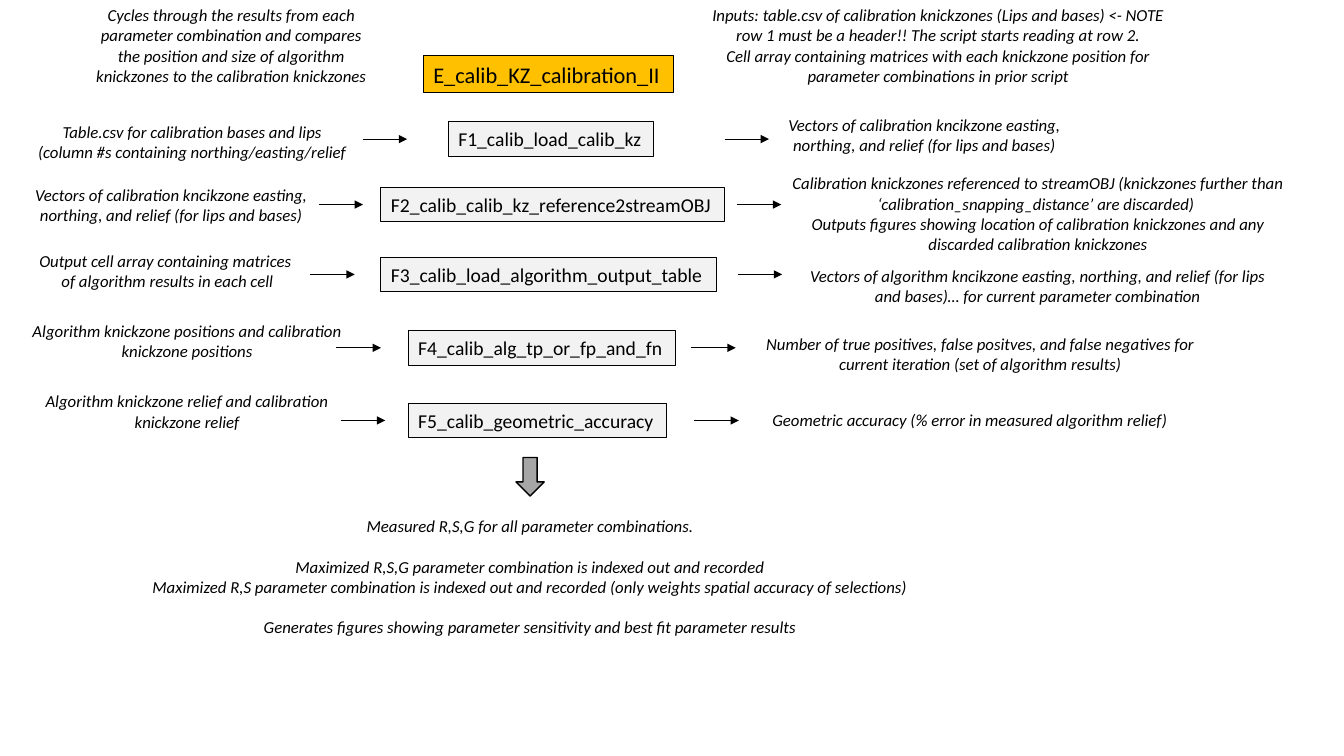
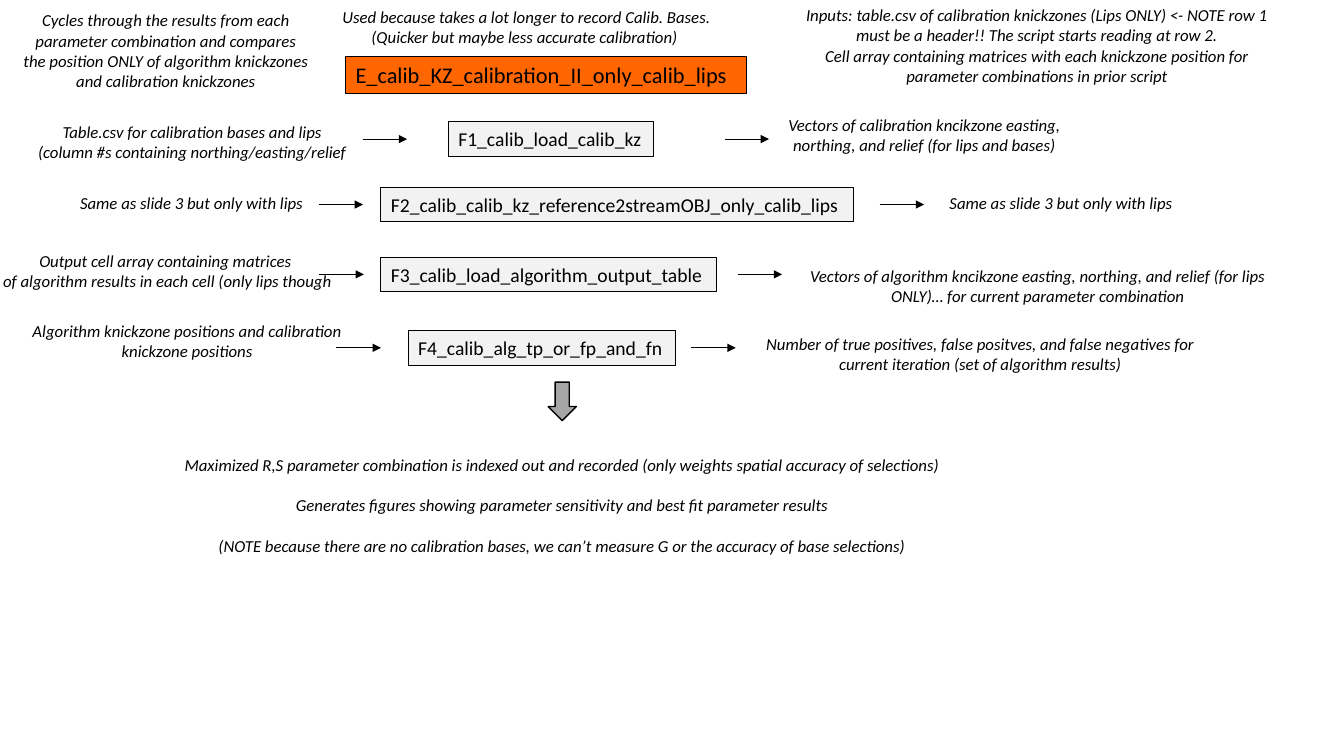
"""Build two script workflow slides: a heading, rows of function steps and a closing summary."""
import dataclasses

import lxml.etree
import pptx
import pptx.dml.color
import pptx.enum.shapes
import pptx.enum.text
import pptx.oxml.ns
import pptx.util

Cm = pptx.util.Cm
Pt = pptx.util.Pt


@dataclasses.dataclass(frozen=True)
class Theme:
    """Colours, type sizes and recurring lengths (in centimetres)."""
    ink: str = "000000"
    step_fill: str = "F2F2F2"
    block_arrow: str = "A6A6A6"
    amber: str = "FFC000"
    orange: str = "FF6600"
    font: str = "Calibri"
    title_size: int = 16
    step_size: int = 14
    note_size: int = 12
    group_gap: float = 14.5
    box_line: float = 0.75
    thin_line: float = 0.5
    block_line: float = 1
    title_height: float = 0.94
    step_height: float = 0.87
    line_height: float = 0.51
    arrow_length: float = 1.12
    inset: float = 0.25


THEME = Theme()


@dataclasses.dataclass(frozen=True)
class Note:
    """Groups of centred paragraphs; the top is relative to the region."""
    left: float
    top: float
    width: float
    groups: tuple


@dataclasses.dataclass(frozen=True)
class Step:
    """One function with its input and output, in centimetres."""
    name: str
    top: float
    left: float
    width: float
    arrow_in: float
    arrow_out: float
    source: Note
    result: Note


def apply(target, values):
    """Set each attribute of the target from a dict of format values."""
    for name, value in values.items():
        setattr(target, name, value)


def colour(code):
    """Return an RGB colour for a hexadecimal code."""
    return pptx.dml.color.RGBColor.from_string(code)


def place(shape, left, top, width, height):
    """Move and size a shape in centimetres."""
    apply(shape, {"left": Cm(left), "top": Cm(top), "width": Cm(width), "height": Cm(height)})


def paint(shape, fill, line_width):
    """Give a shape a solid fill and a dark outline."""
    shape.fill.solid()
    shape.fill.fore_color.rgb = colour(fill)
    shape.line.color.rgb = colour(THEME.ink)
    shape.line.width = Pt(line_width)


def write(para, text, size, alignment, italic=False):
    """Write one formatted run into a paragraph."""
    para.alignment = alignment
    span = para.add_run()
    span.text = text
    apply(span.font, {"name": THEME.font, "size": Pt(size), "italic": italic, "bold": False})
    span.font.color.rgb = colour(THEME.ink)


def add_label(shape, text, size):
    """Write a left-aligned, vertically centred label into a box."""
    frame = shape.text_frame
    apply(frame, {
        "word_wrap": True,
        "auto_size": pptx.enum.text.MSO_AUTO_SIZE.NONE,
        "vertical_anchor": pptx.enum.text.MSO_ANCHOR.MIDDLE,
        "margin_left": Cm(THEME.inset),
        "margin_right": 0,
    })
    write(frame.paragraphs[0], text, size, pptx.enum.text.PP_ALIGN.LEFT)


def add_note(page, note, top=0):
    """Add an italic note whose later groups are set apart by paragraph spacing."""
    lines = sum(len(group) for group in note.groups)
    box = page.shapes.add_textbox(Cm(note.left), Cm(top + note.top), Cm(note.width),
                                  Cm(2 * THEME.inset + lines * THEME.line_height))
    frame = box.text_frame
    apply(frame, {"word_wrap": True, "margin_left": 0, "margin_right": 0})
    para = None
    for group in note.groups:
        for index, text in enumerate(group):
            starts_group = para is not None and index == 0
            para = frame.paragraphs[0] if para is None else frame.add_paragraph()
            para.space_before = Pt(THEME.group_gap if starts_group else 0)
            write(para, text, THEME.note_size, pptx.enum.text.PP_ALIGN.CENTER, italic=True)


def add_arrow(page, left, middle):
    """Add a thin arrow pointing right."""
    arrow = page.shapes.add_connector(
        pptx.enum.shapes.MSO_CONNECTOR.STRAIGHT,
        Cm(left), Cm(middle), Cm(left + THEME.arrow_length), Cm(middle))
    arrow.line.color.rgb = colour(THEME.ink)
    arrow.line.width = Pt(THEME.thin_line)
    qn = pptx.oxml.ns.qn
    properties = arrow._element.spPr
    outline = properties.find(qn("a:ln"))
    lxml.etree.SubElement(outline, qn("a:tailEnd"), type="triangle")
    lxml.etree.SubElement(properties, qn("a:effectLst"))


def add_heading(page, text, fill, box, notes):
    """Format the title placeholder as a coloured box and add the notes around it."""
    left, top, width = box
    title = page.shapes.title
    place(title, left, top, width, THEME.title_height)
    paint(title, fill, THEME.box_line)
    add_label(title, text, THEME.title_size)
    for note in notes:
        add_note(page, note)


def add_step(page, step):
    """Add one row: input note, arrow, function box, arrow, output note."""
    box = page.shapes.add_shape(
        pptx.enum.shapes.MSO_SHAPE.RECTANGLE,
        Cm(step.left), Cm(step.top), Cm(step.width), Cm(THEME.step_height))
    box.shadow.inherit = False
    paint(box, THEME.step_fill, THEME.box_line)
    add_label(box, step.name, THEME.step_size)
    for left in (step.arrow_in, step.arrow_out):
        add_arrow(page, left, step.top + THEME.step_height / 2)
    for note in (step.source, step.result):
        add_note(page, note, step.top)


def add_closing(page, arrow_top, note):
    """Add a block arrow centred above the summary note."""
    width, height = 0.71, 0.97
    arrow = page.shapes.add_shape(
        pptx.enum.shapes.MSO_SHAPE.DOWN_ARROW,
        Cm(note.left + (note.width - width) / 2), Cm(arrow_top), Cm(width), Cm(height))
    arrow.shadow.inherit = False
    paint(arrow, THEME.block_arrow, THEME.block_line)
    add_note(page, note)


def add_workflow(deck, heading, steps, closing):
    """Add a slide with a heading, its steps and a closing summary."""
    page = deck.slides.add_slide(deck.slide_layouts[5])
    add_heading(page, **heading)
    for step in steps:
        add_step(page, step)
    add_closing(page, **closing)


VECTORS = (("Vectors of calibration kncikzone easting, northing, and relief (for lips and bases)",),)
SAME = (("Same as slide 3 but only with lips",),)
MATRICES = "Output cell array containing matrices "
PRIOR = ("Cell array containing matrices with each knickzone position for parameter "
         "combinations in prior script")
BEST_RS = ("Maximized R,S parameter combination is indexed out and recorded "
           "(only weights spatial accuracy of selections)")
FIGURES = "Generates figures showing parameter sensitivity and best fit parameter results"

LOAD = Step(
    "F1_calib_load_calib_kz", 3.07, 11.3, 5.18, 9.14, 18.26,
    Note(0.78, -0.13, 8.13, (("Table.csv for calibration bases and lips",
                              "(column #s containing northing/easting/relief"),)),
    Note(19.23, -0.3, 8.13, VECTORS))
REFERENCE = Step(
    "F2_calib_calib_kz_reference2streamOBJ", 4.72, 9.6, 8.66, 8.03, 18.57,
    Note(0.25, -0.2, 8.13, VECTORS),
    Note(19.63, -0.48, 13.06, ((
        "Calibration knickzones referenced to streamOBJ (knickzones further than "
        "‘calibration_snapping_distance’ are discarded) ",
        "Outputs figures showing location of calibration knickzones and any "
        "discarded calibration knickzones"),)))
OUTPUT_TABLE = Step(
    "F3_calib_load_algorithm_output_table", 6.48, 9.6, 8.46, 7.82, 18.59,
    Note(0, -0.28, 8.44, ((MATRICES, "of algorithm results in each cell"),)),
    Note(20.21, 0.08, 11.89, ((
        "Vectors of algorithm kncikzone easting, northing, and relief "
        "(for lips and bases)… for current parameter combination",),)))
POSITIVES = Step(
    "F4_calib_alg_tp_or_fp_and_fn", 8.33, 10.29, 6.73, 8.48, 17.42,
    Note(0.74, -0.38, 7.95, ((
        "Algorithm knickzone positions and calibration knickzone positions",),)),
    Note(19.08, -0.05, 11.25, ((
        "Number of true positives, false positves, and false negatives for "
        "current iteration (set of algorithm results)",),)))
ACCURACY = Step(
    "F5_calib_geometric_accuracy", 10.16, 10.29, 6.5, 8.59, 17.5,
    Note(0.74, -0.43, 7.95, ((
        "Algorithm knickzone relief and calibration knickzone relief",),)),
    Note(18.82, 0.03, 11.25, ((
        "Geometric accuracy (% error in measured algorithm relief)",),)))

REFERENCE_LIPS = dataclasses.replace(
    REFERENCE, name="F2_calib_calib_kz_reference2streamOBJ_only_calib_lips",
    width=11.91, arrow_out=22.17,
    source=Note(0.8, 0, 8.06, SAME), result=Note(20.21, 0, 13.06, SAME))
OUTPUT_TABLE_LIPS = dataclasses.replace(
    OUTPUT_TABLE, arrow_in=8.05,
    source=dataclasses.replace(OUTPUT_TABLE.source, groups=((
        MATRICES, "of algorithm results in each cell (only lips though"),)),
    result=dataclasses.replace(OUTPUT_TABLE.result, groups=((
        "Vectors of algorithm kncikzone easting, northing, and relief "
        "(for lips ONLY)… for current parameter combination",),)))


def main():
    """Build and save the deck."""
    deck = pptx.Presentation()
    apply(deck, {"slide_width": Cm(33.87), "slide_height": Cm(19.05)})
    add_workflow(
        deck,
        {"text": "E_calib_KZ_calibration_II", "fill": THEME.amber, "box": (10.67, 1.4, 6.3),
         "notes": (
             Note(2.23, 0, 7.2, ((
                 "Cycles through the results from each parameter combination and compares the "
                 "position and size of algorithm knickzones to the calibration knickzones",),)),
             Note(17.67, 0, 11.95, ((
                 "Inputs: table.csv of calibration knickzones (Lips and bases) <- NOTE row 1 "
                 "must be a header!! The script starts reading at row 2.", PRIOR),)))},
        (LOAD, REFERENCE, OUTPUT_TABLE, POSITIVES, ACCURACY),
        {"arrow_top": 11.53, "note": Note(3.02, 12.88, 20.68, (
            ("Measured R,S,G for all parameter combinations.",),
            ("Maximized R,S,G parameter combination is indexed out and recorded", BEST_RS),
            (FIGURES,)))})
    add_workflow(
        deck,
        {"text": "E_calib_KZ_calibration_II_only_calib_lips", "fill": THEME.orange,
         "box": (8.71, 1.42, 10.11),
         "notes": (
             Note(0.58, 0.13, 7.2, ((
                 "Cycles through the results from each parameter combination and compares the "
                 "position ONLY of algorithm knickzones and calibration knickzones",),)),
             Note(20.16, 0, 11.95, ((
                 "Inputs: table.csv of calibration knickzones (Lips ONLY) <- NOTE row 1 "
                 "must be a header!! The script starts reading at row 2.", PRIOR),)),
             Note(6.88, 0.05, 12.78, ((
                 "Used because takes a lot longer to record Calib. Bases.",
                 "(Quicker but maybe less accurate calibration) "),)))},
        (LOAD, REFERENCE_LIPS, OUTPUT_TABLE_LIPS, POSITIVES),
        {"arrow_top": 9.63, "note": Note(3.83, 11.33, 20.68, (
            (BEST_RS,),
            (FIGURES,),
            ("(NOTE because there are no calibration bases, we can’t measure G or the "
             "accuracy of base selections)",)))})
    deck.save("out.pptx")


if __name__ == "__main__":
    main()
